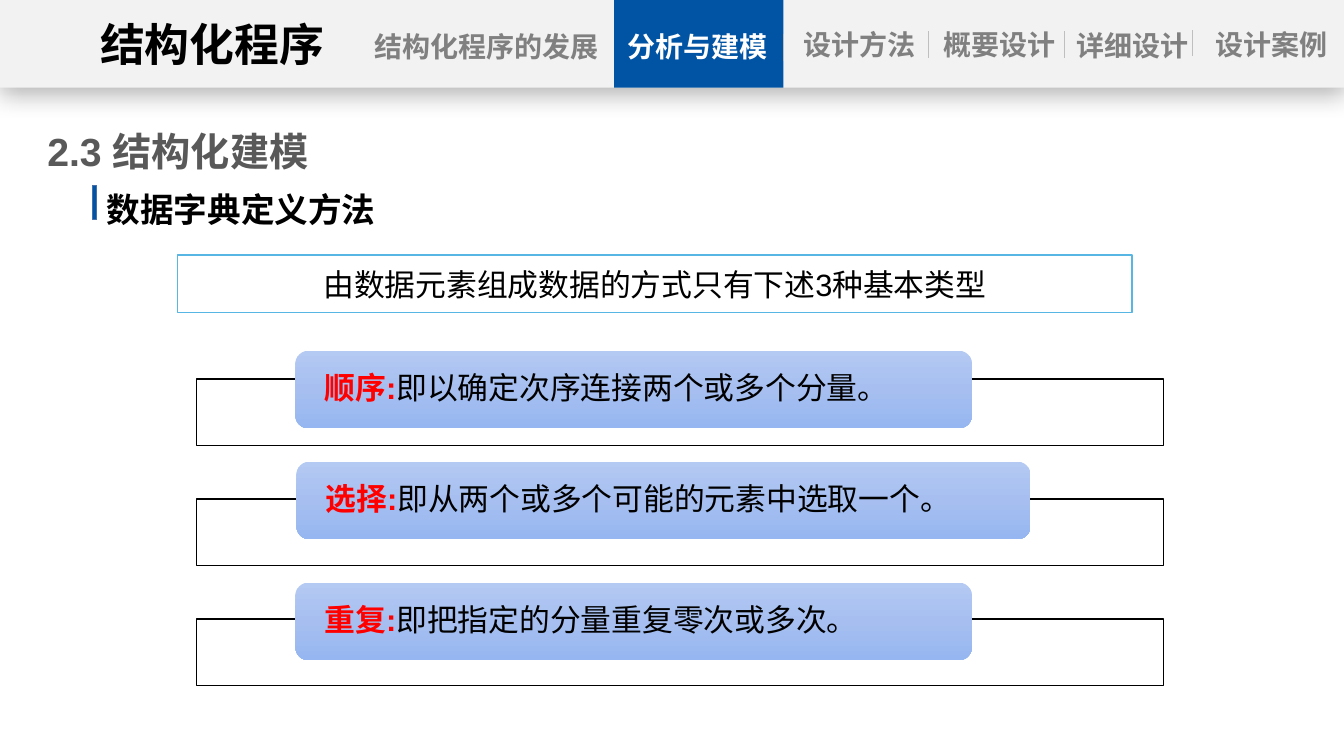
from copy import deepcopy
from dataclasses import dataclass
from typing import Optional

from lxml import etree
from pptx import Presentation
from pptx import util as u
from pptx.dml.color import RGBColor
from pptx.enum import shapes, text
from pptx.oxml.ns import qn

COLUMNS, ROWS = 133.3, 75
CELL = u.Inches(0.1)
FONT = "Arial"

BLACK = RGBColor(0x00, 0x00, 0x00)
WHITE = RGBColor(0xFF, 0xFF, 0xFF)
RED = RGBColor(0xFF, 0x00, 0x00)
HEADING_GREY = RGBColor(0x59, 0x59, 0x59)
TAB_GREY = RGBColor(0x80, 0x80, 0x80)
SEPARATOR_GREY = RGBColor(0xBF, 0xBF, 0xBF)
BAR_GREY = RGBColor(0xF2, 0xF2, 0xF2)
NAVY = RGBColor(0x00, 0x54, 0xA3)
MARKER_EDGE = RGBColor(0x47, 0x6F, 0xAA)
SKY = RGBColor(0x58, 0xB6, 0xE5)
CARD_TOP = RGBColor(0xB4, 0xCA, 0xF3)
CARD_MIDDLE = RGBColor(0xA6, 0xBF, 0xF0)
CARD_BOTTOM = RGBColor(0x96, 0xB6, 0xF1)

BAR_HEIGHT = 8.7
FRAME_LEFT, FRAME_TOP, FRAME_STEP = 19.5, 37.6, 11.9
FRAME_WIDTH, FRAME_HEIGHT = 95.9, 6.6
CARD_HEIGHT, CARD_PADDING = 7.7, 0.4


@dataclass(frozen=True)
class Area:
    """Place on the grid, in columns and rows."""
    column: float
    row: float
    width: float
    height: float

    def lengths(self) -> list[int]:
        cells = (self.column, self.row, self.width, self.height)
        return [round(count * CELL) for count in cells]


@dataclass(frozen=True)
class Run:
    words: str
    size: float
    color: RGBColor = BLACK
    bold: bool = True


@dataclass(frozen=True)
class Tab:
    name: str
    area: Area
    color: RGBColor = TAB_GREY


@dataclass(frozen=True)
class Card:
    term: str
    meaning: str
    area: Area


TABS = [
    Tab("结构化程序的发展", Area(36.4, 2.4, 23.7, 4.4)),
    Tab("分析与建模", Area(61.8, 2.4, 14.7, 4.4), WHITE),
    Tab("设计方法", Area(77.9, 2.2, 14.7, 4.4)),
    Tab("概要设计", Area(91.8, 2.2, 14.7, 4.4)),
    Tab("详细设计", Area(104.7, 2.3, 15.2, 4.4)),
    Tab("设计案例", Area(118.8, 2.2, 14.7, 4.4)),
]
ACTIVE_TAB = Area(60.9, 0, 16.8, BAR_HEIGHT)
FIRST_SEPARATOR = Area(60.9, 3.1, 0, 2.7)
OTHER_SEPARATORS = [
    Area(77.7, 3.4, 0, 2.7),
    Area(92.1, 3.1, 0, 2.7),
    Area(105.6, 3.1, 0, 2.7),
    Area(118.3, 3, 0, 2.6),
]
CARDS = [
    Card("顺序:", "即以确定次序连接两个或多个分量。", Area(29.3, 34.8, 67.1, CARD_HEIGHT)),
    Card("选择:", "即从两个或多个可能的元素中选取一个。", Area(29.4, 45.8, 72.8, CARD_HEIGHT)),
    Card("重复:", "即把指定的分量重复零次或多次。", Area(29.3, 57.8, 67.1, CARD_HEIGHT)),
]


def add_box(slide, area: Area, fill: Optional[RGBColor] = None,
            line: Optional[RGBColor] = None,
            kind=shapes.MSO_SHAPE.RECTANGLE):
    shape = slide.shapes.add_shape(kind, *area.lengths())
    shape.shadow.inherit = False
    if fill is None:
        shape.fill.background()
    else:
        shape.fill.solid()
        shape.fill.fore_color.rgb = fill
    if line is None:
        shape.line.fill.background()
    else:
        shape.line.color.rgb = line
        shape.line.width = u.Pt(1)
    return shape


def write_runs(paragraph, runs: list[Run]) -> None:
    for item in runs:
        run = paragraph.add_run()
        run.text = item.words
        run.font.name = FONT
        run.font.size = u.Pt(item.size)
        run.font.bold = item.bold
        run.font.color.rgb = item.color


def add_text(slide, area: Area, runs: list[Run], side_inset: float = 0,
             align=text.PP_ALIGN.LEFT):
    frame = slide.shapes.add_textbox(*area.lengths()).text_frame
    frame.word_wrap = True
    frame.auto_size = text.MSO_AUTO_SIZE.SHAPE_TO_FIT_TEXT
    frame.margin_left = frame.margin_right = u.Inches(side_inset)
    paragraph = frame.paragraphs[0]
    paragraph.alignment = align
    write_runs(paragraph, runs)
    return frame


def add_separator(slide, area: Area) -> None:
    left, top, width, height = area.lengths()
    line = slide.shapes.add_connector(
        shapes.MSO_CONNECTOR.STRAIGHT, left, top, left + width, top + height)
    line.line.color.rgb = SEPARATOR_GREY
    line.line.width = u.Pt(0.5)
    etree.SubElement(line._element.spPr, qn("a:effectLst"))


def add_bar_shadow(bar) -> None:
    effects = bar._element.spPr.find(qn("a:effectLst"))
    shadow = etree.SubElement(
        effects, qn("a:outerShdw"), blurRad=str(u.Pt(18)), dist=str(u.Pt(4)),
        dir="5400000", algn="t", rotWithShape="0")
    color = etree.SubElement(shadow, qn("a:srgbClr"), val=str(BLACK))
    etree.SubElement(color, qn("a:alpha"), val="29000")


def fill_card(shape) -> None:
    """Shade the card from top to bottom over three stops."""
    shape.fill.gradient()
    shape.fill.gradient_angle = 270
    first = shape._element.spPr.find(".//" + qn("a:gs"))
    first.addnext(deepcopy(first))
    colors = (CARD_TOP, CARD_MIDDLE, CARD_BOTTOM)
    for index, (stop, color) in enumerate(zip(shape.fill.gradient_stops, colors)):
        stop.color.rgb = color
        stop.position = index / 2


def add_card(slide, index: int, card: Card) -> None:
    add_box(slide, Area(FRAME_LEFT, FRAME_TOP + index * FRAME_STEP,
                        FRAME_WIDTH, FRAME_HEIGHT), WHITE, BLACK)
    area = card.area
    fill_card(add_box(slide, area, kind=shapes.MSO_SHAPE.ROUNDED_RECTANGLE))
    inner = Area(area.column + CARD_PADDING, area.row + CARD_PADDING,
                 area.width - 2 * CARD_PADDING, area.height - 2 * CARD_PADDING)
    frame = add_text(slide, inner, [Run(card.term, 22, RED),
                                    Run(card.meaning, 22, bold=False)], 0.25)
    frame.auto_size = text.MSO_AUTO_SIZE.NONE
    frame.vertical_anchor = text.MSO_ANCHOR.MIDDLE
    frame.margin_top = frame.margin_bottom = 0
    frame.paragraphs[0].line_spacing = 0.9


def add_header(slide) -> None:
    add_bar_shadow(add_box(slide, Area(0, 0, COLUMNS, BAR_HEIGHT), BAR_GREY))
    add_separator(slide, FIRST_SEPARATOR)
    add_box(slide, ACTIVE_TAB, NAVY)
    center = text.PP_ALIGN.CENTER
    add_text(slide, Area(9.1, 1.2, 23.9, 6.4), [Run("结构化程序", 32)], align=center)
    for tab in TABS:
        add_text(slide, tab.area, [Run(tab.name, 20, tab.color)], align=center)
    for separator in OTHER_SEPARATORS:
        add_separator(slide, separator)


def add_statement(slide) -> None:
    frame = add_box(slide, Area(17.6, 25.3, 94.7, 5.7), line=SKY).text_frame
    frame.vertical_anchor = text.MSO_ANCHOR.MIDDLE
    frame.paragraphs[0].alignment = text.PP_ALIGN.CENTER
    write_runs(frame.paragraphs[0],
               [Run("由数据元素组成数据的方式只有下述3种基本类型", 22, bold=False)])


def main() -> None:
    presentation = Presentation()
    presentation.slide_width = round(COLUMNS * CELL)
    presentation.slide_height = ROWS * CELL
    slide = presentation.slides.add_slide(presentation.slide_layouts[6])
    add_text(slide, Area(4.7, 12.1, 28.3, 5.8), [Run("2.3 结构化建模", 28, HEADING_GREY)])
    add_box(slide, Area(9.2, 18.4, 0.4, 3.4), NAVY, MARKER_EDGE)
    add_text(slide, Area(9.6, 18.3, 55.4, 5), [Run("数据字典定义方法", 24)], 0.1)
    add_statement(slide)
    for index, card in enumerate(CARDS):
        add_card(slide, index, card)
    add_header(slide)
    presentation.save("out.pptx")


if __name__ == "__main__":
    main()
